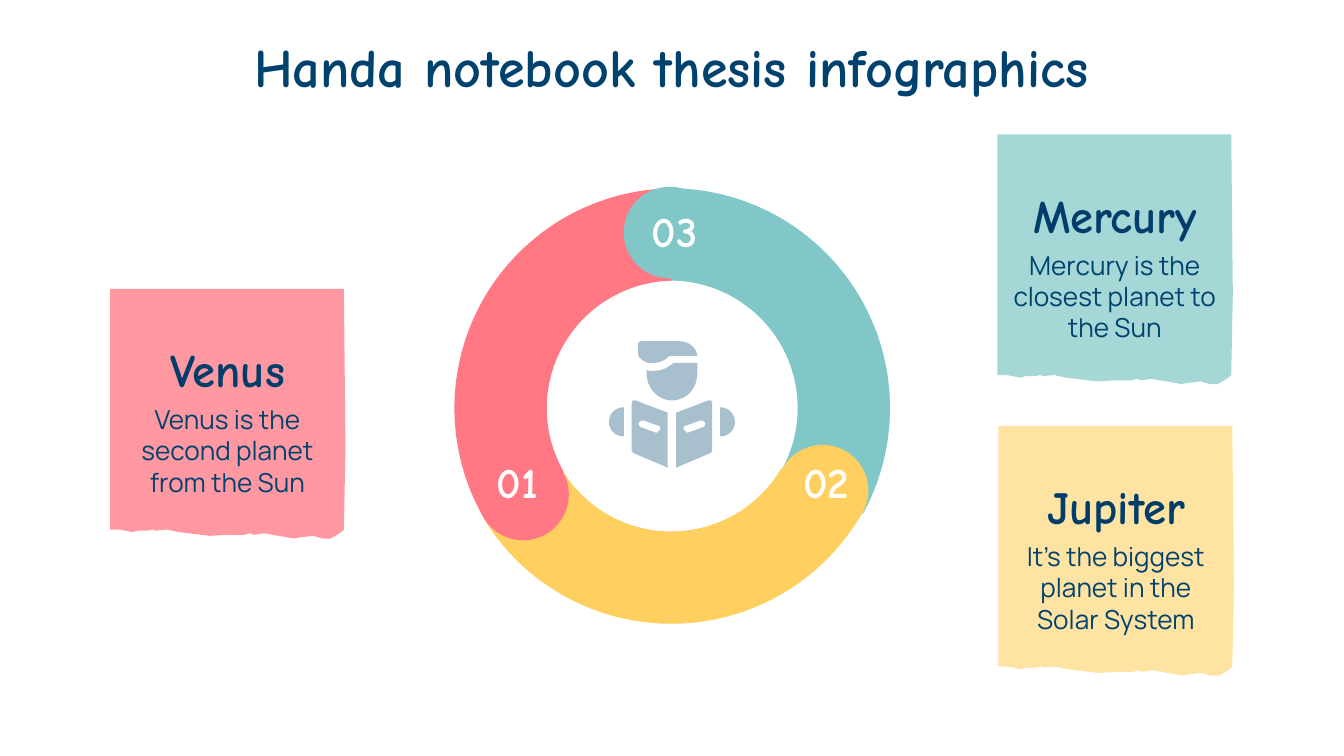
from lxml.etree import SubElement
from pptx import Presentation
from pptx.dml.color import RGBColor
from pptx.enum.shapes import MSO_SHAPE
from pptx.enum.text import MSO_ANCHOR, PP_ALIGN
from pptx.oxml.ns import qn
from pptx.util import Cm, Pt

NAVY, INK, WHITE = "00426E", "003D6A", "FFFFFF"
RED, TEAL, YELLOW, GREY = "FF7884", "81C7C7", "FFCF60", "A8BFCE"
MIDDLE = 12.7


def paint(fill, colour):
    fill.solid()
    fill.fore_color.rgb = RGBColor.from_string(colour)


def write(box, text, left, top, width, height, size, font="Comic Neue", colour=NAVY, bold=True):
    box.left, box.top, box.width, box.height = Cm(left), Cm(top), Cm(width), Cm(height)
    frame = box.text_frame
    frame.word_wrap = True
    frame.vertical_anchor = MSO_ANCHOR.MIDDLE
    frame.margin_left = frame.margin_right = frame.margin_top = frame.margin_bottom = Cm(0.25)
    paragraph = frame.paragraphs[0]
    paragraph.alignment = PP_ALIGN.CENTER
    span = paragraph.add_run()
    span.text = text
    span.font.name, span.font.size, span.font.bold = font, Pt(size), bold
    paint(span.font.fill, colour)


deck = Presentation()
deck.slide_width, deck.slide_height = Cm(25.4), Cm(14.29)
page = deck.slides.add_slide(deck.slide_layouts[5])
paint(page.background.fill, WHITE)
write(page.shapes.title, "Handa notebook thesis infographics", 1.27, 0.81, 22.86, 0.86, 29)

notes = [
    ("Venus", "Venus is the second planet from the Sun", 2.08, 5.46, RED, 76),
    ("Mercury", "Mercury is the closest planet to the Sun", 18.85, 2.54, TEAL, 70),
    ("Jupiter", "It’s the biggest planet in the Solar System", 18.87, 8.05, YELLOW, 58),
]

torn_note = [
    (0, 0), (4.42, 0), (4.45, 3), (4.42, 4.55), (4.34, 4.62), (4.17, 4.72), (4.01, 4.72),
    (3.84, 4.67), (3.58, 4.7), (3.48, 4.72), (2.9, 4.62), (2.72, 4.65), (2.64, 4.62),
    (2.54, 4.65), (2.26, 4.65), (1.88, 4.67), (1.3, 4.6), (1.07, 4.55), (0.86, 4.57),
    (0.81, 4.55), (0.71, 4.57), (0.53, 4.57), (0.43, 4.6), (0.18, 4.55), (0, 4.55),
]
book_page = [
    (-0.69, 7.57), (-0.74, 7.57), (-0.76, 7.62), (-0.76, 8.51), (-0.74, 8.56),
    (-0.08, 8.84), (-0.08, 7.8),
]
page_slot = [
    (-0.56, 7.95), (-0.53, 7.95), (-0.25, 8.05), (-0.23, 8.05, -0.2, 8.1, -0.23, 8.13),
    (-0.28, 8.18), (-0.3, 8.18), (-0.58, 8.08), (-0.66, 8.05, -0.64, 7.95, -0.56, 7.95),
]
hand = [
    (-0.91, 7.7), (-1.07, 7.7, -1.19, 7.82, -1.19, 7.98), (-1.19, 8.13, -1.07, 8.25, -0.91, 8.25),
]
hair = [
    (0.13, 6.45), (-0.56, 6.45), (-0.61, 6.45, -0.64, 6.48, -0.64, 6.5), (-0.64, 6.71),
    (-0.61, 6.78, -0.51, 6.86, -0.43, 6.86), (-0.33, 6.86),
    (-0.23, 6.86, -0.13, 6.81, -0.05, 6.73), (0.48, 6.73), (0.46, 6.55, 0.3, 6.45, 0.13, 6.45),
]
face = [
    (0.03, 6.86), (-0.08, 6.96, -0.2, 7.01, -0.33, 7.01), (-0.43, 7.01), (-0.48, 6.99),
    (-0.48, 7.06), (-0.48, 7.32, -0.28, 7.57, 0, 7.57), (0.28, 7.57, 0.48, 7.34, 0.48, 7.06),
    (0.48, 6.86),
]

outlines = [([torn_note], left, top, 1, colour, opacity)
            for _, _, left, top, colour, opacity in notes]
for side in (1, -1):
    outlines.append(([book_page, page_slot], MIDDLE, 0, side, GREY, 100))
    outlines.append(([hand], MIDDLE, 0, side, GREY, 100))
for part in (hair, face):
    outlines.append(([part], MIDDLE, 0, 1, GREY, 100))

for contours, left, top, side, colour, opacity in outlines:
    builder = None
    for contour in contours:
        points = []
        for step in contour:
            if len(step) == 2:
                points.append(step)
                continue
            nodes = [points[-1], step[:2], step[2:4], step[4:]]
            for tick in range(1, 9):
                t = tick / 8
                weights = ((1 - t) ** 3, 3 * t * (1 - t) ** 2, 3 * t * t * (1 - t), t ** 3)
                points.append(tuple(sum(w * node[axis] for w, node in zip(weights, nodes))
                                    for axis in (0, 1)))
        places = [(Cm(left + side * x), Cm(top + y)) for x, y in points]
        if builder is None:
            builder = page.shapes.build_freeform(*places[0], scale=1.0)
        else:
            builder.move_to(*places[0])
        builder.add_line_segments(places[1:], close=True)
    shape = builder.convert_to_shape()
    paint(shape.fill, colour)
    if opacity < 100:
        tint = shape._element.spPr.find(".//" + qn("a:srgbClr"))
        SubElement(tint, qn("a:alpha")).set("val", str(opacity * 1000))

ring = []
for colour, left, top, turn, cap in [
    (YELLOW, 8.53, 3.48, 180, None),
    (RED, 8.59, 3.56, 300, (RED, 9.02, 8.48, 240)),
    (TEAL, 8.51, 3.56, 60, (TEAL, 11.79, 3.53, 0)),
    (None, 0, 0, 0, (YELLOW, 14.68, 8.41, 120)),
]:
    if colour:
        ring.append((MSO_SHAPE.BLOCK_ARC, colour, left, top, 8.31, turn, (126.23, 197.2, 0.21)))
    if cap:
        cap_colour, x, y, angle = cap
        ring.append((MSO_SHAPE.PIE, cap_colour, x, y, 1.73, angle + 0.7, (61.9, 149.96)))
        ring.append((MSO_SHAPE.PIE, cap_colour, x, y, 1.73, (angle + 180) % 360, (40.28, 171.84)))

for kind, colour, left, top, size, turn, adjustments in ring:
    shape = page.shapes.add_shape(kind, Cm(left), Cm(top), Cm(size), Cm(size))
    shape.rotation = turn
    for index, value in enumerate(adjustments):
        shape.adjustments[index] = value
    paint(shape.fill, colour)

for shape in page.shapes:
    if not shape.is_placeholder:
        shape.line.fill.background()
        shape.shadow.inherit = False

for heading, body, left, top, _, _ in notes:
    write(page.shapes.add_textbox(0, 0, 0, 0), heading, left + 0.17, top + 1.09, 4.11, 0.86, 25,
          colour=INK)
    write(page.shapes.add_textbox(0, 0, 0, 0), body, left - 0.09, top + 2.38, 4.62, 1.35, 14,
          font="Manrope", bold=False)

for number, left, top in [("03", 11.99, 3.96), ("01", 9.02, 8.71), ("02", 14.86, 8.71)]:
    write(page.shapes.add_textbox(0, 0, 0, 0), number, left, top, 1.52, 0.79, 23, colour=WHITE)

deck.save("out.pptx")
